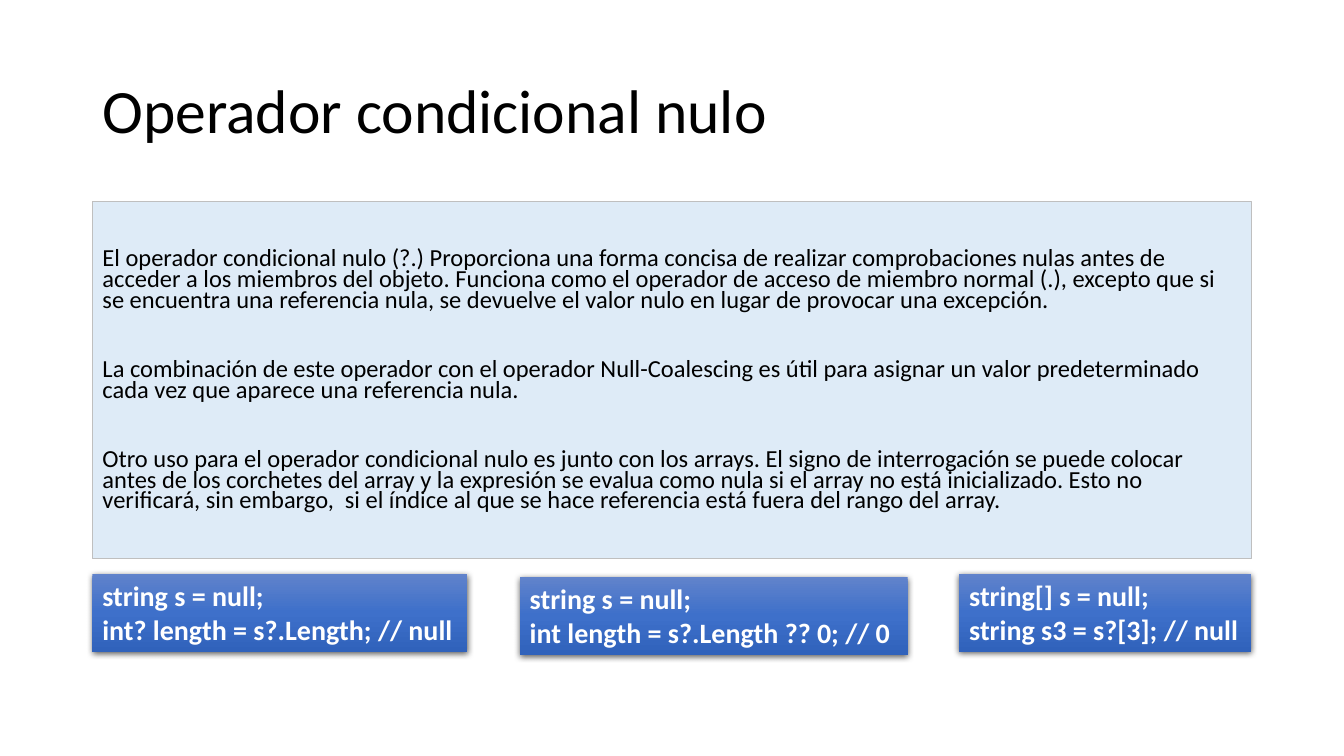
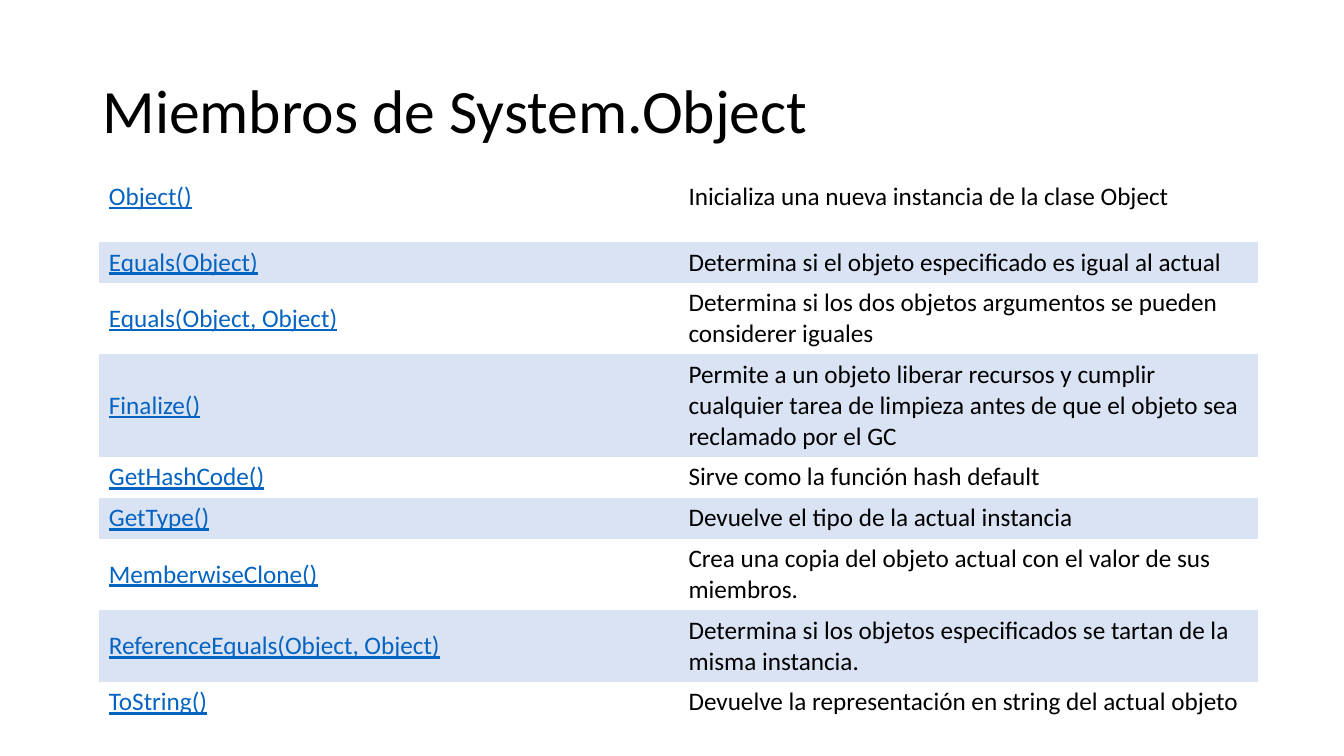
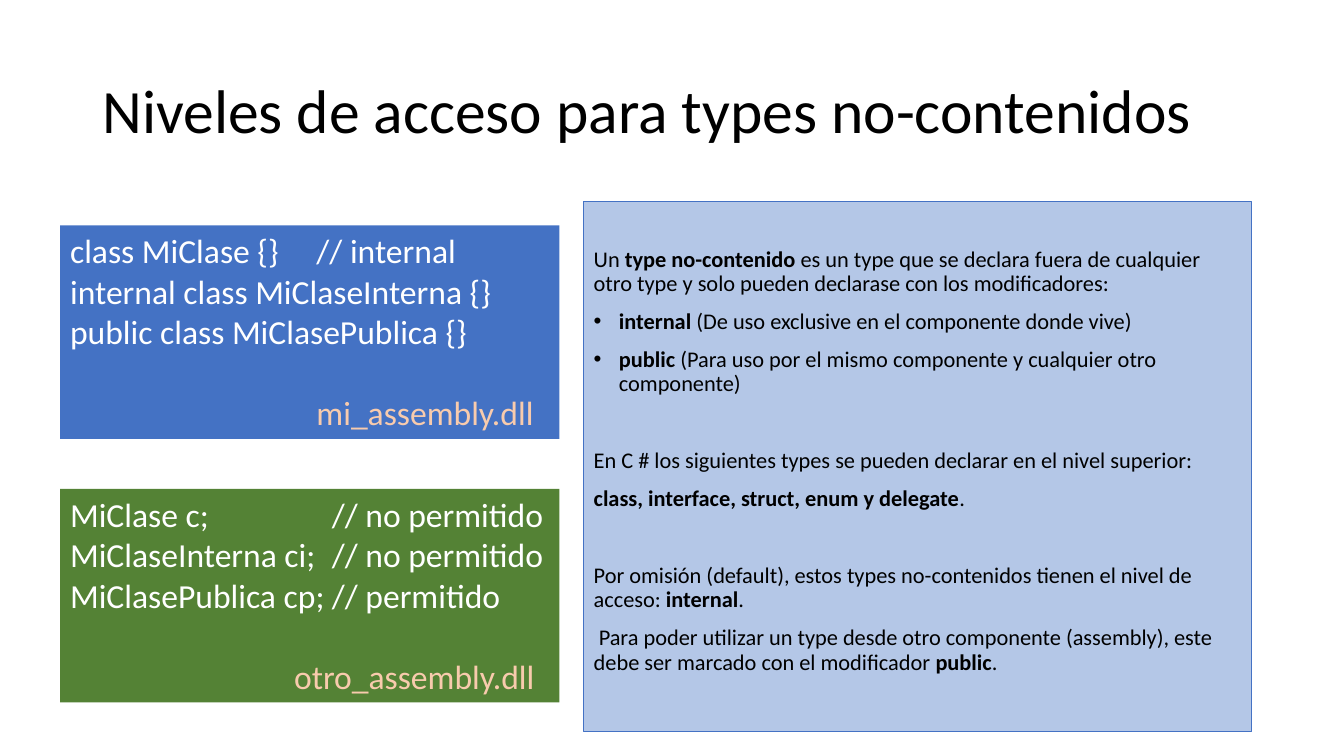
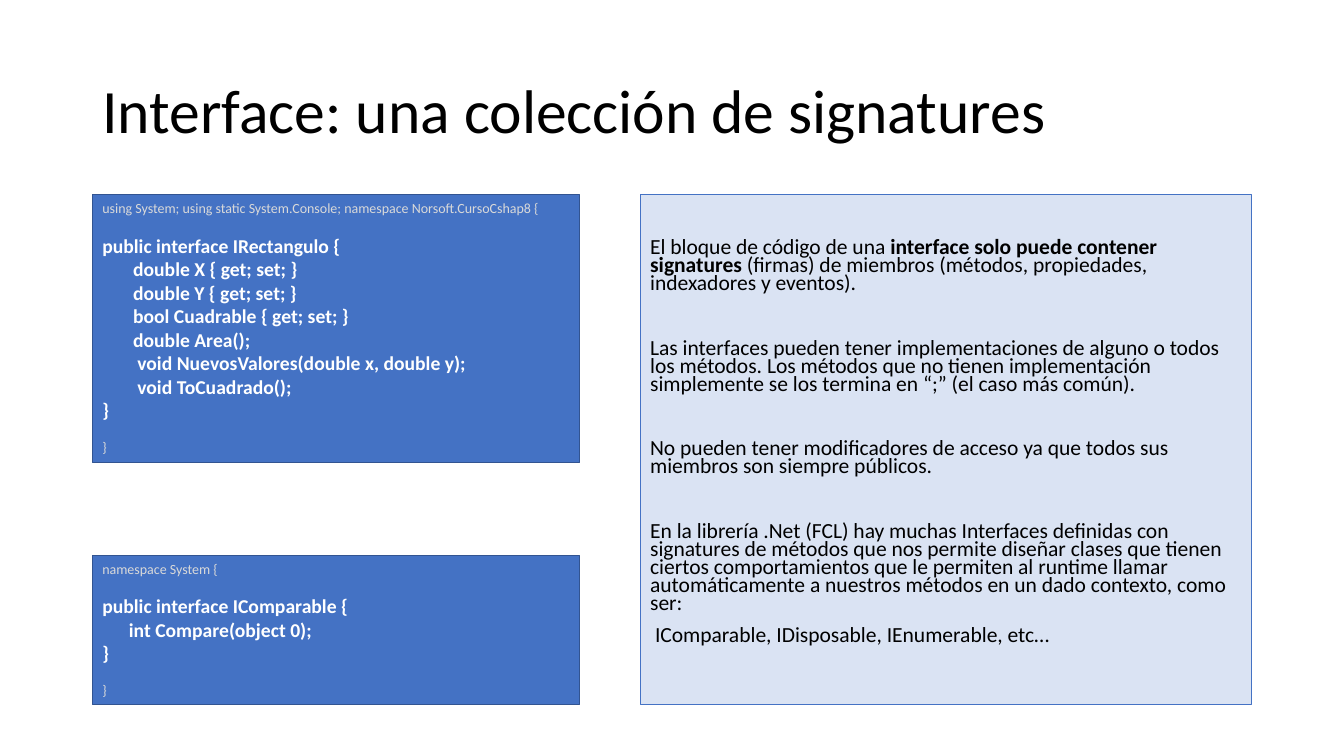
"""Build four course slides on null operators, System.Object, access levels and interfaces."""
import copy
import dataclasses
import typing

import lxml.etree
import pptx
import pptx.dml.color
import pptx.enum.shapes
import pptx.enum.text
import pptx.oxml.ns
import pptx.presentation
import pptx.shapes.autoshape
import pptx.slide
import pptx.text.text
import pptx.util

Pt = pptx.util.Pt
qn = pptx.oxml.ns.qn


@dataclasses.dataclass(frozen=True)
class Theme:
    font: str = "Calibri"
    black: str = "000000"
    white: str = "FFFFFF"
    blue: str = "4472C4"
    dark_blue: str = "325491"
    green: str = "548235"
    sky: str = "DEEBF7"
    pale_blue: str = "DAE3F3"
    soft_blue: str = "B4C7E7"
    gray: str = "BFBFBF"
    faint: str = "D9D9D9"
    peach: str = "F8CBAD"
    link: str = "0563C1"
    gradient: tuple[str, ...] = ("6183CB", "3E70CA", "3062BB")
    title_size: float = 44
    assembly_size: float = 24
    snippet_size: float = 20
    table_size: float = 18
    code_size: float = 14
    small_size: float = 10
    line_factor: float = 1.22
    inset: float = 3.6
    body_gap: float = 10
    no_table_style: str = "{2D5ABB26-0587-4C30-8999-92F81FD0307C}"


THEME = Theme()


class Box(typing.NamedTuple):
    left: float
    top: float
    width: float
    height: float


@dataclasses.dataclass(frozen=True)
class Line:
    text: str
    size: float = THEME.code_size
    color: str = THEME.white
    bold: bool = False
    before: float = 0
    left: float = 0
    tab: float = 0


@dataclasses.dataclass(frozen=True)
class BodyText:
    text: str
    apart: bool = False
    bullet: bool = False


class Member(typing.NamedTuple):
    name: str
    description: str
    lines: int = 1


TITLE_BOX = Box(66, 28.8, 828, 104.4)


def rgb(value: str) -> pptx.dml.color.RGBColor:
    return pptx.dml.color.RGBColor.from_string(value)


def write(
    paragraph: pptx.text.text._Paragraph,
    text: str,
    *,
    size: float,
    color: str = THEME.black,
    bold: bool = False,
    underline: bool = False,
    spacing: float = 1.0,
    before: float = 0,
    left: float = 0,
    tab: float = 0,
    bullet: bool = False,
) -> None:
    """Write text into a paragraph; parts between double asterisks are bold."""
    paragraph.alignment = pptx.enum.text.PP_ALIGN.LEFT
    paragraph.line_spacing = spacing
    paragraph.space_before = Pt(before)
    properties = paragraph._p.get_or_add_pPr()
    if tab:
        tabs = lxml.etree.SubElement(properties, qn("a:tabLst"))
        stop = lxml.etree.SubElement(tabs, qn("a:tab"))
        stop.set("pos", str(Pt(tab)))
        stop.set("algn", "l")
    else:
        properties.set("marL", str(Pt(left)))
        properties.set("indent", str(Pt(-left if bullet else 0)))
        if bullet:
            lxml.etree.SubElement(properties, qn("a:buFont")).set("typeface", "Arial")
            lxml.etree.SubElement(properties, qn("a:buChar")).set("char", "•")
        else:
            lxml.etree.SubElement(properties, qn("a:buNone"))
    for index, part in enumerate(text.split("**")):
        if part:
            run = paragraph.add_run()
            run.text = part
            run.font.name = THEME.font
            run.font.size = Pt(size)
            run.font.bold = bold or index % 2 == 1
            run.font.underline = underline
            run.font.color.rgb = rgb(color)


def next_paragraph(frame: pptx.text.text.TextFrame, index: int) -> pptx.text.text._Paragraph:
    return frame.add_paragraph() if index else frame.paragraphs[0]


def place(shape: pptx.shapes.autoshape.Shape, box: Box) -> None:
    shape.left, shape.top, shape.width, shape.height = map(Pt, box)


def set_frame(
    shape: pptx.shapes.autoshape.Shape, anchor: pptx.enum.text.MSO_ANCHOR
) -> pptx.text.text.TextFrame:
    frame = shape.text_frame
    frame.word_wrap = True
    frame.auto_size = pptx.enum.text.MSO_AUTO_SIZE.NONE
    frame.vertical_anchor = anchor
    return frame


def paint(shape: pptx.shapes.autoshape.Shape, fill: str, line: str | None, width: float) -> None:
    shape.fill.solid()
    shape.fill.fore_color.rgb = rgb(fill)
    if line:
        shape.line.color.rgb = rgb(line)
        shape.line.width = Pt(width)
    else:
        shape.line.fill.background()


def add_slide(
    presentation: pptx.presentation.Presentation, title: str, has_body: bool = True
) -> pptx.slide.Slide:
    slide = presentation.slides.add_slide(presentation.slide_layouts[1 if has_body else 5])
    shape = slide.shapes.title
    place(shape, TITLE_BOX)
    frame = set_frame(shape, pptx.enum.text.MSO_ANCHOR.MIDDLE)
    write(frame.paragraphs[0], title, size=THEME.title_size, spacing=0.9)
    return slide


def fill_body(
    slide: pptx.slide.Slide,
    box: Box,
    texts: list[BodyText],
    *,
    size: float,
    spacing: float,
    fill: str,
    line: str,
) -> None:
    """Fill the body placeholder; texts set apart get one more line of space."""
    shape = slide.placeholders[1]
    place(shape, box)
    paint(shape, fill, line, 0.75)
    frame = set_frame(shape, pptx.enum.text.MSO_ANCHOR.TOP)
    line_height = size * THEME.line_factor
    frame.margin_top = Pt(THEME.inset + THEME.body_gap + line_height)
    extra = THEME.body_gap + line_height * spacing
    for index, item in enumerate(texts):
        write(
            next_paragraph(frame, index),
            item.text,
            size=size,
            spacing=spacing,
            before=THEME.body_gap + (extra if item.apart else 0),
            left=18 if item.bullet else 0,
            bullet=item.bullet,
        )


def add_code(
    slide: pptx.slide.Slide,
    box: Box,
    lines: list[Line],
    *,
    fill: str = THEME.blue,
    line: str | None = None,
) -> pptx.shapes.autoshape.Shape:
    shape = slide.shapes.add_shape(pptx.enum.shapes.MSO_SHAPE.RECTANGLE, *map(Pt, box))
    shape.shadow.inherit = False
    paint(shape, fill, line, 1)
    frame = set_frame(shape, pptx.enum.text.MSO_ANCHOR.TOP)
    for index, item in enumerate(lines):
        write(next_paragraph(frame, index), **dataclasses.asdict(item))
    return shape


def add_gloss(shape: pptx.shapes.autoshape.Shape) -> None:
    """Give a shape the vertical gradient and the soft shadow."""
    shape.fill.gradient()
    shape.fill.gradient_angle = 270
    properties = shape._element.spPr
    stop_list = properties.find(".//" + qn("a:gsLst"))
    stop_list.append(copy.deepcopy(stop_list[0]))
    for index, stop in enumerate(shape.fill.gradient_stops):
        stop.position = index / 2
        stop.color.rgb = rgb(THEME.gradient[index])
    effects = properties.find(qn("a:effectLst"))
    shadow = lxml.etree.SubElement(effects, qn("a:outerShdw"))
    settings = {"blurRad": Pt(4.5), "dist": Pt(1.5), "dir": 5400000, "rotWithShape": 0}
    for name, value in settings.items():
        shadow.set(name, str(int(value)))
    color = lxml.etree.SubElement(shadow, qn("a:srgbClr"))
    color.set("val", THEME.black)
    lxml.etree.SubElement(color, qn("a:alpha")).set("val", "63000")


def add_member_table(
    slide: pptx.slide.Slide, top: float, members: list[Member], banded: bool
) -> None:
    line_height = THEME.table_size * THEME.line_factor
    heights = [member.lines * line_height + 2 * THEME.inset for member in members]
    box = Box(70.6, top, 828, sum(heights))
    table = slide.shapes.add_table(len(members), 2, *map(Pt, box)).table
    table.first_row = table.horz_banding = False
    table._tbl.tblPr.find(qn("a:tableStyleId")).text = THEME.no_table_style
    for row, (member, height) in enumerate(zip(members, heights)):
        table.rows[row].height = Pt(height)
        for column, text in enumerate((member.name, member.description)):
            cell = table.cell(row, column)
            cell.vertical_anchor = pptx.enum.text.MSO_ANCHOR.MIDDLE
            if banded and row % 2 == 0:
                cell.fill.solid()
                cell.fill.fore_color.rgb = rgb(THEME.pale_blue)
            else:
                cell.fill.background()
            write(
                cell.text_frame.paragraphs[0],
                text,
                size=THEME.table_size,
                color=THEME.black if column else THEME.link,
                underline=column == 0,
            )


def build_null_operator(presentation: pptx.presentation.Presentation) -> None:
    slide = add_slide(presentation, "Operador condicional nulo")
    texts = [
        BodyText("El operador condicional nulo (?.) Proporciona una forma concisa de realizar comprobaciones nulas antes de acceder a los miembros del objeto. Funciona como el operador de acceso de miembro normal (.), excepto que si se encuentra una referencia nula, se devuelve el valor nulo en lugar de provocar una excepción."),
        BodyText("La combinación de este operador con el operador Null-Coalescing es útil para asignar un valor predeterminado cada vez que aparece una referencia nula.", apart=True),
        BodyText("Otro uso para el operador condicional nulo es junto con los arrays. El signo de interrogación se puede colocar antes de los corchetes del array y la expresión se evalua como nula si el array no está inicializado. Esto no verificará, sin embargo,  si el índice al que se hace referencia está fuera del rango del array.", apart=True),
    ]
    fill_body(slide, Box(66, 144, 828, 255.3), texts,
              size=17.5, spacing=0.7, fill=THEME.sky, line=THEME.gray)
    snippets = [
        (Box(66, 409.7, 268, 55.7), "string s = null;", "int? length = s?.Length; // null"),
        (Box(371.3, 411.9, 277, 55.7), "string s = null;", "int length = s?.Length ?? 0; // 0"),
        (Box(685.2, 409.7, 208.8, 55.7), "string[] s = null;", "string s3 = s?[3]; // null"),
    ]
    for box, *code in snippets:
        lines = [Line(text, THEME.snippet_size, bold=True) for text in code]
        add_gloss(add_code(slide, box, lines))


def build_object_members(presentation: pptx.presentation.Presentation) -> None:
    slide = add_slide(presentation, "Miembros de System.Object", has_body=False)
    constructor = [
        Member("Object()", "Inicializa una nueva instancia de la clase Object"),
        Member("", ""),
    ]
    methods = [
        Member("Equals(Object)", "Determina si el objeto especificado es igual al actual"),
        Member("Equals(Object, Object)", "Determina si los dos objetos argumentos se pueden considerer iguales", 2),
        Member("Finalize()", "Permite a un objeto liberar recursos y cumplir cualquier tarea de limpieza antes de que el objeto sea reclamado por el GC", 3),
        Member("GetHashCode()", "Sirve como la función hash default"),
        Member("GetType()", "Devuelve el tipo de la actual instancia"),
        Member("MemberwiseClone()", "Crea una copia del objeto actual con el valor de sus miembros.", 2),
        Member("ReferenceEquals(Object, Object)", "Determina si los objetos especificados se tartan de la misma instancia.", 2),
        Member("ToString()", "Devuelve la representación en string del actual objeto"),
    ]
    add_member_table(slide, 126, constructor, banded=False)
    add_member_table(slide, 172.8, methods, banded=True)


def build_access_levels(presentation: pptx.presentation.Presentation) -> None:
    slide = add_slide(presentation, "Niveles de acceso para types no-contenidos")
    texts = [
        BodyText("Un **type no-contenido** es un type que se declara fuera de cualquier otro type y solo pueden declarase con los modificadores:"),
        BodyText("**internal** (De uso exclusive en el componente donde vive)", bullet=True),
        BodyText("**public** (Para uso por el mismo componente y cualquier otro componente)", bullet=True),
        BodyText("En C # los siguientes types se pueden declarar en el nivel superior:", apart=True),
        BodyText("**class, interface, struct, enum y delegate**."),
        BodyText("Por omisión (default), estos types no-contenidos tienen el nivel de acceso: **internal**.", apart=True),
        BodyText(" Para poder utilizar un type desde otro componente (assembly), este debe ser marcado con el modificador **public**."),
    ]
    fill_body(slide, Box(416.9, 144, 477.1, 378.7), texts,
              size=16, spacing=0.9, fill=THEME.soft_blue, line=THEME.blue)
    assemblies = [
        (161, THEME.blue, 176, "mi_assembly.dll", 176,
         ["class MiClase {}\t// internal", "internal class MiClaseInterna {}", "public class MiClasePublica {}"]),
        (349.2, THEME.green, 187, "otro_assembly.dll", 160,
         ["MiClase c;\t// no permitido", "MiClaseInterna ci;\t// no permitido", "MiClasePublica cp;\t// permitido"]),
    ]
    size = THEME.assembly_size
    for top, fill, tab, name, name_left, code in assemblies:
        lines = [Line(text, size, tab=tab) for text in code]
        lines.append(Line(name, size, THEME.peach, before=size * THEME.line_factor, left=name_left))
        add_code(slide, Box(43, top, 356.6, 152.6), lines, fill=fill)


def build_interface(presentation: pptx.presentation.Presentation) -> None:
    slide = add_slide(presentation, "Interface: una colección de signatures")
    texts = [
        BodyText("El bloque de código de una **interface solo puede contener signatures** (firmas) de miembros (métodos, propiedades, indexadores y eventos)."),
        BodyText("Las interfaces pueden tener implementaciones de alguno o todos los métodos. Los métodos que no tienen implementación simplemente se los termina en “;” (el caso más común).", apart=True),
        BodyText("No pueden tener modificadores de acceso ya que todos sus miembros son siempre públicos.", apart=True),
        BodyText("En la librería .Net (FCL) hay muchas Interfaces definidas con signatures de métodos que nos permite diseñar clases que tienen ciertos comportamientos que le permiten al runtime llamar automáticamente a nuestros métodos en un dado contexto, como ser:", apart=True),
        BodyText(" IComparable, IDisposable, IEnumerable, etc…"),
    ]
    fill_body(slide, Box(457.2, 139, 436.6, 364.3), texts,
              size=15.4, spacing=0.7, fill=THEME.pale_blue, line=THEME.blue)
    listings = [
        (Box(66, 139, 348, 191.5),
         "using System; using static System.Console; namespace Norsoft.CursoCshap8 {",
         "public interface IRectangulo {",
         [("double X { get; set; }", 22), ("double Y { get; set; }", 22),
          ("bool Cuadrable { get; set; }", 22), ("double Area();", 22),
          ("void NuevosValores(double x, double y);", 25), ("void ToCuadrado();", 25)]),
        (Box(66, 396.7, 348, 106.6),
         "namespace System {",
         "public interface IComparable {",
         [("int Compare(object 0);", 19)]),
    ]
    gap = THEME.small_size * THEME.line_factor
    for box, namespace, declaration, members in listings:
        lines = [
            Line(namespace, THEME.small_size, THEME.faint),
            Line(declaration, bold=True, before=gap),
            *(Line(text, bold=True, left=left) for text, left in members),
            Line("}", bold=True),
            Line("}", THEME.small_size, THEME.faint, before=gap),
        ]
        add_code(slide, box, lines, line=THEME.dark_blue)


def main() -> None:
    presentation = pptx.Presentation()
    presentation.slide_width = Pt(960)
    presentation.slide_height = Pt(540)
    build_null_operator(presentation)
    build_object_members(presentation)
    build_access_levels(presentation)
    build_interface(presentation)
    presentation.save("out.pptx")


if __name__ == "__main__":
    main()
